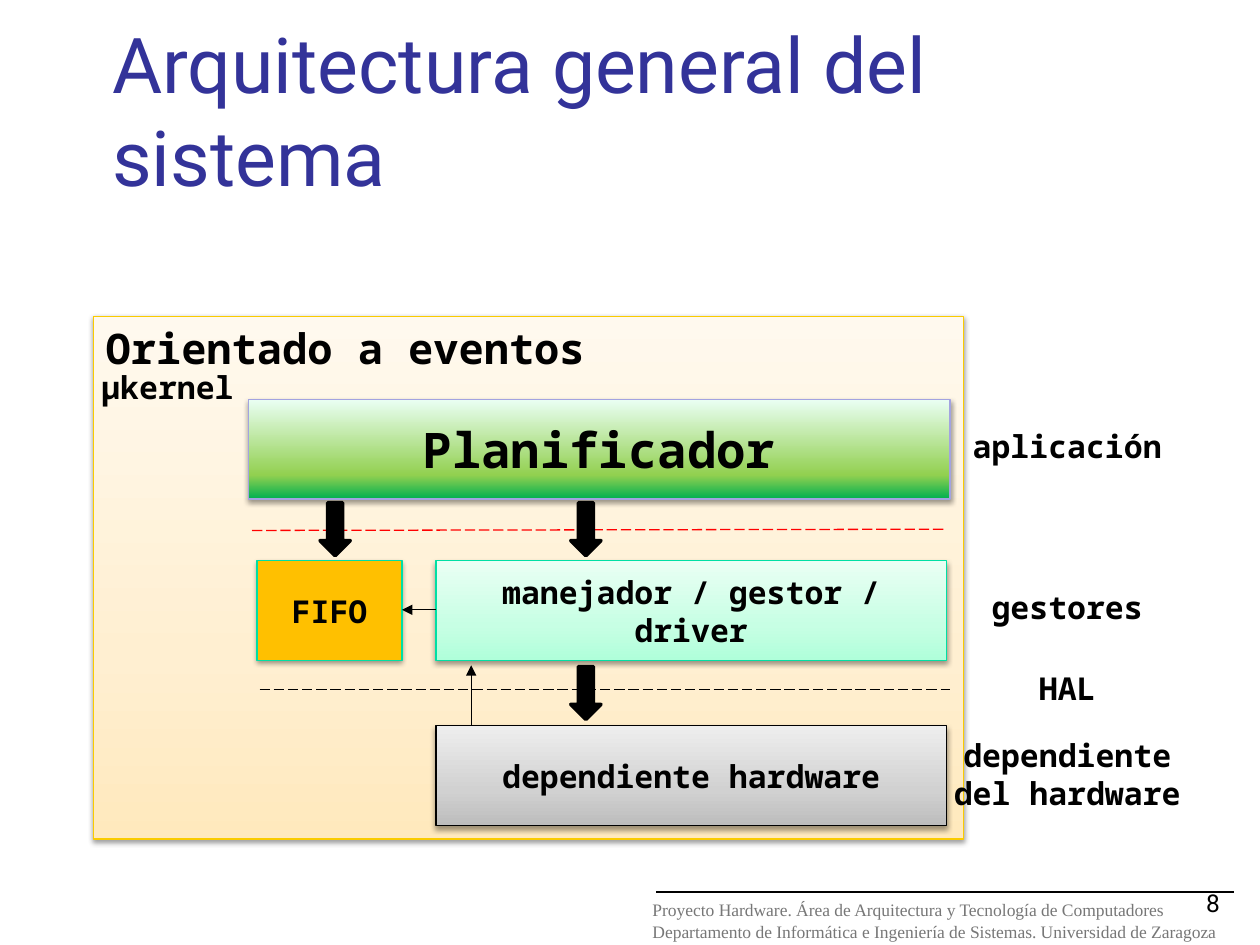
from dataclasses import dataclass
from typing import Optional

from lxml import etree
from pptx import Presentation
from pptx.dml.color import RGBColor
from pptx.enum.dml import MSO_LINE
from pptx.enum.shapes import MSO_CONNECTOR, MSO_SHAPE
from pptx.enum.text import MSO_ANCHOR, PP_ALIGN
from pptx.oxml.ns import qn
from pptx.util import Inches, Pt

RECT, DOWN = MSO_SHAPE.RECTANGLE, MSO_SHAPE.DOWN_ARROW
STRAIGHT, DASH = MSO_CONNECTOR.STRAIGHT, MSO_LINE.LONG_DASH
TOP, MIDDLE, BOTTOM = MSO_ANCHOR.TOP, MSO_ANCHOR.MIDDLE, MSO_ANCHOR.BOTTOM
LEFT, CENTER, RIGHT = PP_ALIGN.LEFT, PP_ALIGN.CENTER, PP_ALIGN.RIGHT
COLS, ROWS = 100, 75


@dataclass(frozen=True)
class Theme:
    head: str = "Roboto"
    mono: str = "Noto Sans Mono"
    serif: str = "Times New Roman"
    ink: str = "000000"
    title: str = "333399"
    muted: str = "777777"
    red: str = "FF0000"
    mint: str = "00DFA4"
    gold: str = "FACB00"
    lilac: str = "A3A3E0"
    amber: tuple = ((0, "FFC000"),)
    cream: tuple = ((0, "FFE9BD"), (35, "FFEFD1"), (100, "FFF9EE"))
    aqua: tuple = ((0, "B0FFDA"), (35, "C7FFE4"), (100, "EAFFF4"))
    green: tuple = ((0, "00B050"), (24, "92D050"), (100, "EAFFF4"))
    gray: tuple = ((0, "BDBDBD"), (35, "D1D1D1"), (100, "EEEEEE"))
    huge: int = 44
    large: int = 28
    medium: int = 24
    body: int = 18
    number: int = 14
    small: int = 10
    thin: float = 0.75
    thick: float = 2


T = Theme()


@dataclass(frozen=True)
class Box:
    text: str
    col: float
    row: float
    cols: float
    rows: float
    fill: tuple
    line: str
    size: int = T.body
    anchor: MSO_ANCHOR = MIDDLE
    align: PP_ALIGN = CENTER


@dataclass(frozen=True)
class Label:
    text: str
    col: float
    row: float


@dataclass(frozen=True)
class Line:
    start: tuple
    end: tuple
    color: str = T.ink
    dash: Optional[MSO_LINE] = None
    arrow: bool = False


LAYER, LAYER_COLS, LAYER_ROWS, SIDE = 34.6, 40.5, 7.9, 78.5
BOXES = (
    Box("Orientado a eventos", 7.4, 25.1, 69.1, 41.5, T.cream, T.gold, T.medium, TOP, LEFT),
    Box("Planificador", 19.7, 31.7, 55.7, LAYER_ROWS, T.green, T.lilac, T.large),
    Box("FIFO", 20.4, 44.5, 11.5, LAYER_ROWS, T.amber, T.mint),
    Box("manejador / gestor / driver", LAYER, 44.5, LAYER_COLS, LAYER_ROWS, T.aqua, T.mint),
    Box("dependiente hardware", LAYER, 57.6, LAYER_COLS, LAYER_ROWS, T.gray, T.ink),
)
LABELS = (
    Label("µkernel", 7.1, 25.7),
    Label("aplicación", SIDE, 30.4),
    Label("gestores", SIDE, 43.2),
    Label("HAL", SIDE, 49.6),
    Label("dependiente\vdel hardware", SIDE, 56.4),
)
LINES = (
    Line((52.1, 70.8), (97.9, 70.8)),
    Line((20, 42.1), (75.1, 42), T.red, DASH),
    Line((20.6, 54.7), (75.4, 54.7), T.ink, DASH),
    Line((34.6, 48.4), (31.9, 48.4), arrow=True),
    Line((37.4, 57.6), (37.4, 52.8), arrow=True),
)
DOWN_ARROWS = ((25.4, 39.9), (45.3, 39.9), (45.3, 52.9))
FOOTER = (
    "Proyecto Hardware. Área de Arquitectura y Tecnología de Computadores\n"
    "Departamento de Informática e Ingeniería de Sistemas. Universidad de Zaragoza"
)


def at(*cells: float) -> list:
    sizes = (10 / COLS, 7.5 / ROWS)
    return [Inches(c * sizes[i % 2]) for i, c in enumerate(cells)]


def rgb(color: str) -> RGBColor:
    return RGBColor.from_string(color)


def sub(parent, tag: str, **attrs):
    return etree.SubElement(parent, qn(tag), {k: str(v) for k, v in attrs.items()})


def set_text(tf, text: str, font: str, size: int, color: str = T.ink, bold: bool = False,
             align: PP_ALIGN = LEFT, anchor: MSO_ANCHOR = TOP, wrap: bool = True,
             spacing: Optional[float] = None) -> None:
    tf.text = text
    for name, value in {"word_wrap": wrap, "vertical_anchor": anchor}.items():
        setattr(tf, name, value)
    for p in tf.paragraphs:
        p.alignment, p.line_spacing = align, spacing
        for r in p.runs:
            for name, value in {"name": font, "size": Pt(size), "bold": bold}.items():
                setattr(r.font, name, value)
            r.font.color.rgb = rgb(color)


def set_fill(fill, stops: tuple) -> None:
    if len(stops) == 1:
        fill.solid()
        fill.fore_color.rgb = rgb(stops[0][1])
        return
    fill.gradient()
    fill.gradient_angle = 90
    gs_list = fill.gradient_stops[0]._gs.getparent()
    for gs in list(gs_list):
        gs_list.remove(gs)
    for pos, color in stops:
        sub(sub(gs_list, "a:gs", pos=pos * 1000), "a:srgbClr", val=color)


def add_shape(slide, kind, cells: tuple, fill: tuple, line: str, width: float):
    sp = slide.shapes.add_shape(kind, *at(*cells))
    sp.shadow.inherit = False
    set_fill(sp.fill, fill)
    sp.line.color.rgb = rgb(line)
    sp.line.width = Pt(width)
    return sp


def add_box(slide, b: Box) -> None:
    sp = add_shape(slide, RECT, (b.col, b.row, b.cols, b.rows), b.fill, b.line, T.thin)
    effects = sp._element.spPr.find(qn("a:effectLst"))
    shadow = sub(effects, "a:outerShdw", blurRad=Pt(3.1), dist=Pt(1.6), dir=5400000, rotWithShape=0)
    sub(sub(shadow, "a:srgbClr", val=T.ink), "a:alpha", val=38000)
    set_text(sp.text_frame, b.text, T.mono, b.size, bold=True, align=b.align, anchor=b.anchor)


def add_label(slide, lb: Label) -> None:
    sp = slide.shapes.add_shape(RECT, *at(lb.col, lb.row, 12.4, 10))
    sp.shadow.inherit = False
    sp.fill.background()
    sp.line.fill.background()
    set_text(sp.text_frame, lb.text, T.mono, T.body, bold=True, align=CENTER, anchor=MIDDLE, wrap=False)


def add_text(slide, cells: tuple, text: str, font: str, size: int, **fmt) -> None:
    set_text(slide.shapes.add_textbox(*at(*cells)).text_frame, text, font, size, **fmt)


def add_line(slide, ln: Line) -> None:
    cx = slide.shapes.add_connector(STRAIGHT, *at(*ln.start, *ln.end))
    cx.line.color.rgb = rgb(ln.color)
    cx.line.width = Pt(T.thin)
    if ln.dash:
        cx.line.dash_style = ln.dash
    if ln.arrow:
        sub(cx.line._get_or_add_ln(), "a:tailEnd", type="triangle")
    sub(cx._element.spPr, "a:effectLst")


def main() -> None:
    prs = Presentation()
    prs.slide_width, prs.slide_height = at(COLS, ROWS)
    slide = prs.slides.add_slide(prs.slide_layouts[5])

    title = slide.shapes.title
    title.left, title.top, title.width, title.height = at(7.9, 0.5, 89.9, 16)
    set_text(title.text_frame, "Arquitectura general del sistema", T.head, T.huge, T.title, anchor=BOTTOM)

    for b in BOXES:
        add_box(slide, b)
    for ln in LINES:
        add_line(slide, ln)
    for col, row in DOWN_ARROWS:
        add_shape(slide, DOWN, (col, row, 2.4, 4.2), ((0, T.ink),), T.ink, T.thick)
    for lb in LABELS:
        add_label(slide, lb)

    add_text(slide, (50.8, 70.8, 49.2, 6.1), FOOTER, T.serif, T.small, color=T.muted, spacing=1.03)
    add_text(slide, (77, 68.3, 20.8, 5), "8", T.head, T.number, align=RIGHT, anchor=BOTTOM)
    prs.save("out.pptx")


if __name__ == "__main__":
    main()
